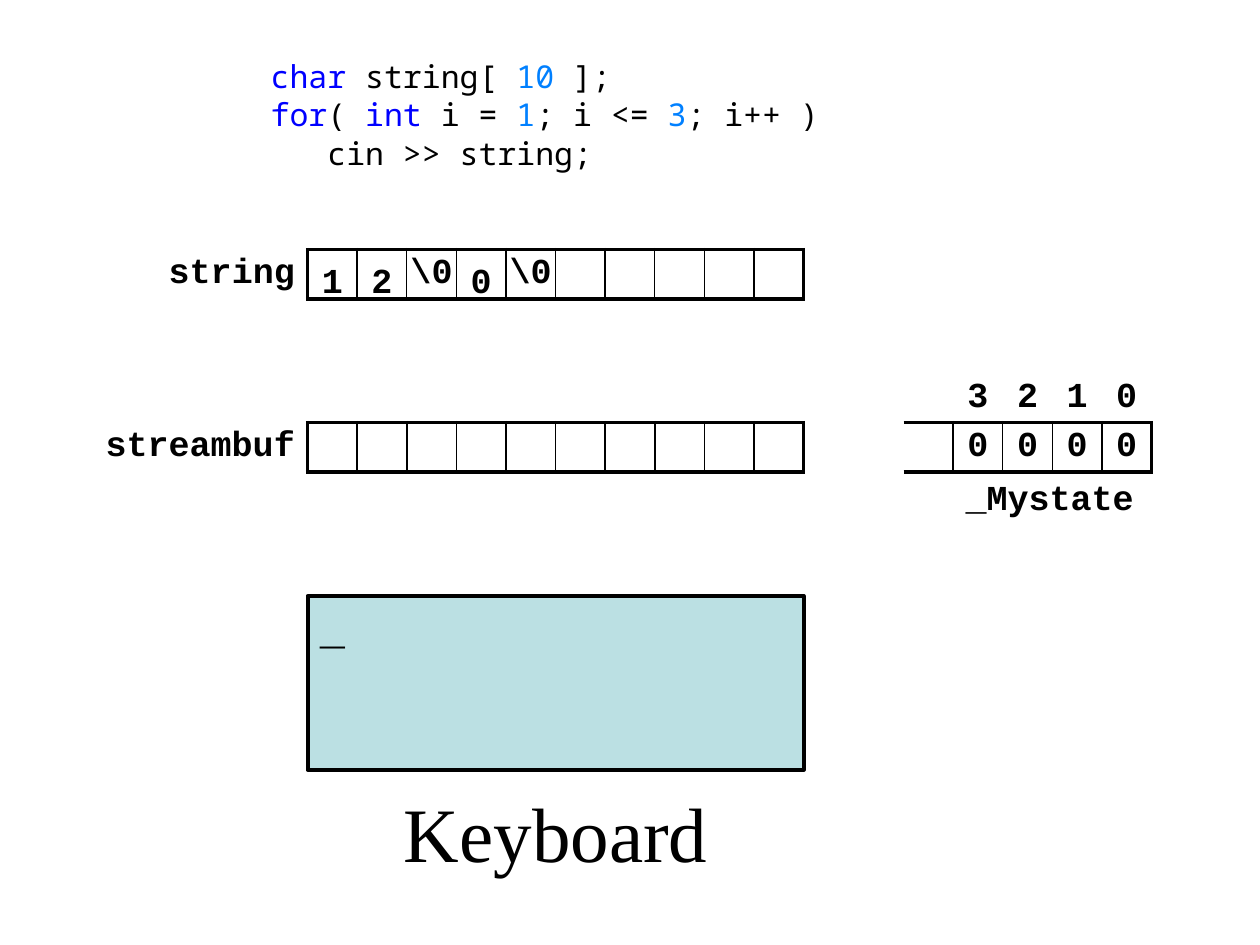
from lxml.etree import SubElement
from pptx import Presentation
from pptx.dml.color import RGBColor
from pptx.enum.shapes import MSO_SHAPE
from pptx.enum.text import MSO_ANCHOR, PP_ALIGN
from pptx.oxml.ns import qn
from pptx.util import Pt

UNIT = 28.35
LEFT = 175.75
TOP = 142.6
MID = 213.1
STATE = 516.3
BLACK = "000000"
BLUE = "0000FF"
SKY = "0080FF"


def color(code):
    return RGBColor.from_string(code)


class Deck:
    font = "Courier New"
    size = 20
    thick = 2.25
    thin = 1

    def __init__(self, slide):
        self.slide = slide

    def run(self, para, text, tint=BLACK, font=None, size=None, bold=True):
        run = para.add_run()
        run.text = text
        run.font.name = font or self.font
        run.font.size = Pt(size or self.size)
        run.font.bold = bold
        run.font.color.rgb = color(tint)

    def frame(self, shape, pads, anchor, wrap=True):
        frame = shape.text_frame
        frame.word_wrap = wrap
        frame.vertical_anchor = anchor
        (frame.margin_left, frame.margin_top,
         frame.margin_right, frame.margin_bottom) = map(Pt, pads)
        return frame

    def label(self, x, y, w, h, text, pads=(7.2, 0, 7.2, 0),
              align=PP_ALIGN.LEFT, wrap=True, **style):
        box = self.slide.shapes.add_textbox(Pt(x), Pt(y), Pt(w), Pt(h))
        para = self.frame(box, pads, MSO_ANCHOR.MIDDLE, wrap).paragraphs[0]
        para.alignment = align
        self.run(para, text, **style)

    def code(self, x, y, w, h, lines):
        box = self.slide.shapes.add_textbox(Pt(x), Pt(y), Pt(w), Pt(h))
        frame = self.frame(box, (7.2, 3.6, 2.9, 3.6), MSO_ANCHOR.TOP)
        for row, line in enumerate(lines):
            para = frame.paragraphs[0]
            if row:
                para = frame.add_paragraph()
                para.space_before = Pt(0.6)
            for text, tint in line:
                self.run(para, text, tint, "Noto Sans Mono", 18, False)

    def panel(self, x, y, w, h, text, fill):
        box = self.slide.shapes.add_shape(
            MSO_SHAPE.RECTANGLE, Pt(x), Pt(y), Pt(w), Pt(h))
        box.shadow.inherit = False
        box.fill.solid()
        box.fill.fore_color.rgb = color(fill)
        box.line.color.rgb = color(BLACK)
        box.line.width = Pt(self.thick)
        pads = (7.2, 3.6, 7.2, 3.6)
        para = self.frame(box, pads, MSO_ANCHOR.TOP).paragraphs[0]
        para.alignment = PP_ALIGN.LEFT
        self.run(para, text, size=24)

    def border(self, cell, widths):
        props = cell._tc.get_or_add_tcPr()
        for side, width in zip("LRTB", widths):
            line = SubElement(props, qn("a:ln" + side), w=str(Pt(width)))
            if width:
                fill = SubElement(line, qn("a:solidFill"))
                SubElement(fill, qn("a:srgbClr"), val=BLACK)
            else:
                SubElement(line, qn("a:noFill"))

    def grid(self, x, y, rows, start=0, head=UNIT):
        count, last = len(rows[0]), len(rows) - 1
        widths = [head] + [UNIT] * (count - 1)
        table = self.slide.shapes.add_table(
            len(rows), count, Pt(x), Pt(y),
            Pt(sum(widths)), Pt(UNIT * len(rows))).table
        table.first_row = table.horz_banding = False
        for col, width in zip(table.columns, widths):
            col.width = Pt(width)

        def edge(row, col):
            if row < last or col == 0 or col < start:
                return 0
            return self.thick if col in (start, count) else self.thin

        for r, texts in enumerate(rows):
            table.rows[r].height = Pt(UNIT)
            for c, text in enumerate(texts):
                cell = table.cell(r, c)
                title = c < start
                rule = 0 if title else self.thick
                self.border(cell, (edge(r, c), edge(r, c + 1),
                                   rule if r == last else 0,
                                   rule if r >= last - 1 else 0))
                cell.fill.background()
                cell.vertical_anchor = MSO_ANCHOR.MIDDLE
                cell.margin_left = cell.margin_top = cell.margin_bottom = 0
                cell.margin_right = Pt(7.2 if title else 0)
                para = cell.text_frame.paragraphs[0]
                para.alignment = PP_ALIGN.RIGHT if title else PP_ALIGN.CENTER
                para.font.size = Pt(self.size)
                if text:
                    self.run(para, text)


def main():
    show = Presentation()
    show.slide_width, show.slide_height = Pt(720), Pt(540)
    deck = Deck(show.slides.add_slide(show.slide_layouts[6]))

    deck.label(218.2, 440, 198.7, 70.5, "Keyboard", align=PP_ALIGN.CENTER,
               wrap=False, font="Times New Roman", size=44, bold=False)
    deck.code(147.6, 28.8, 326.2, 85, [
        [("char", BLUE), (" string[ ", BLACK), ("10", SKY), (" ];", BLACK)],
        [("for", BLUE), ("( ", BLACK), ("int", BLUE), (" i = ", BLACK),
         ("1", SKY), ("; i <= ", BLACK), ("3", SKY), ("; i++ )", BLACK)],
        [("   cin >> string;", BLACK)],
    ])

    blank = [""] * 10
    wide, slim = 156.2, 85
    deck.grid(LEFT - wide, MID, [[""] + blank, ["streambuf"] + blank], 1, wide)
    cells = ["", "", "\\0", "", "\\0"] + blank[5:]
    deck.grid(LEFT - slim, TOP, [["string"] + cells], 1, slim)
    deck.panel(LEFT, 340.5, 10 * UNIT, 99.4, "_", "BBE0E3")
    for col, digit in ((0, "1"), (1, "2"), (3, "0")):
        deck.label(LEFT + col * UNIT, TOP, UNIT, UNIT, digit,
                   (0, 5.4, 0, 0), PP_ALIGN.CENTER)

    deck.label(STATE + UNIT, MID + 2 * UNIT, 4 * UNIT, UNIT, "_Mystate")
    deck.grid(STATE, MID, [["", *"3210"], ["", *"0000"]])
    show.save("out.pptx")


if __name__ == "__main__":
    main()
